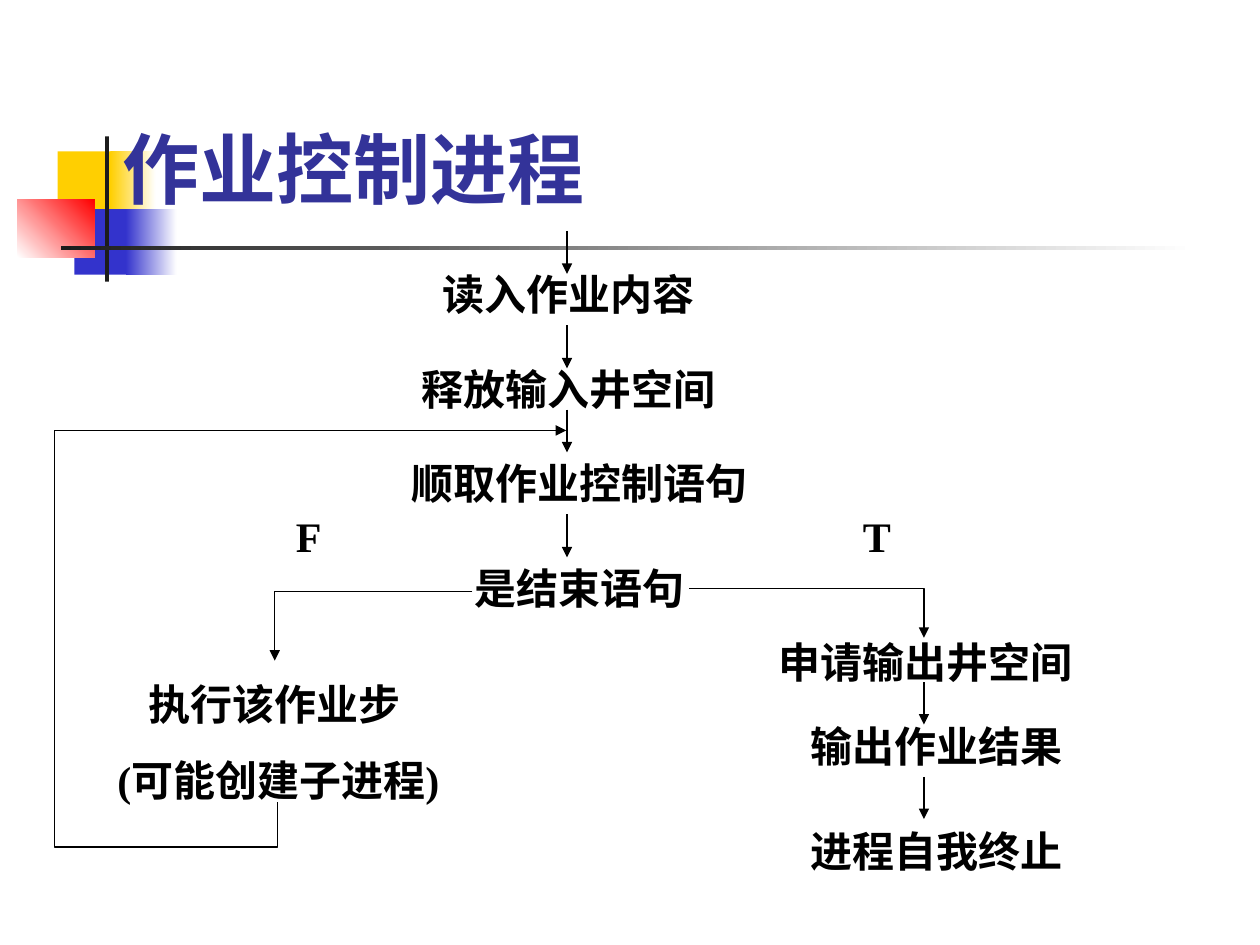
from lxml import etree
from pptx import Presentation
from pptx.dml.color import RGBColor
from pptx.enum.shapes import MSO_CONNECTOR, MSO_SHAPE
from pptx.enum.text import MSO_ANCHOR, MSO_AUTO_SIZE, PP_ALIGN
from pptx.oxml.ns import qn
from pptx.util import Pt

STRAIGHT = MSO_CONNECTOR.STRAIGHT
RECTANGLE = MSO_SHAPE.RECTANGLE
BOTTOM = MSO_ANCHOR.BOTTOM
LEFT = PP_ALIGN.LEFT
NO_FIT = MSO_AUTO_SIZE.NONE
FIT_SHAPE = MSO_AUTO_SIZE.SHAPE_TO_FIT_TEXT

COLORS = {
    "yellow": "FFCF01",
    "blue": "3333CC",
    "red": "FF0000",
    "dark": "1C1C1C",
    "white": "FFFFFF",
    "title": "333399",
    "black": "000000",
}
TITLE_FONT = "Lato"
BODY_FONT = "Times New Roman"
STEP_HEIGHT = 36


def color(name):
    return RGBColor.from_string(COLORS[name])


def style_font(para, name, size, color_name):
    para.font.name = name
    para.font.size = Pt(size)
    para.font.bold = True
    para.font.color.rgb = color(color_name)


def add_block(page, box, start, end=None, angle=0):
    block = page.shapes.add_shape(RECTANGLE, *map(Pt, box))
    block.shadow.inherit = False
    block.line.fill.background()
    if end is None:
        block.fill.solid()
        block.fill.fore_color.rgb = color(start)
        return
    block.fill.gradient()
    block.fill.gradient_angle = angle
    for stop, name in zip(block.fill.gradient_stops, (start, end)):
        stop.color.rgb = color(name)


def style_arrow(shape):
    shape.line.color.rgb = color("black")
    shape.line.width = Pt(0.75)
    line = shape.line._get_or_add_ln()
    etree.SubElement(line, qn("a:tailEnd"), type="triangle")


def add_down_arrow(page, x, top, bottom):
    arrow = page.shapes.add_connector(STRAIGHT, Pt(x), Pt(top), Pt(x), Pt(bottom))
    style_arrow(arrow)
    etree.SubElement(arrow._element.spPr, qn("a:effectLst"))


def add_bent_arrow(page, points):
    start, *corners = [(Pt(x), Pt(y)) for x, y in points]
    builder = page.shapes.build_freeform(*start)
    builder.add_line_segments(corners, close=False)
    arrow = builder.convert_to_shape()
    arrow.shadow.inherit = False
    arrow.fill.background()
    style_arrow(arrow)


def add_step(page, left, top, width, lines, height=STEP_HEIGHT):
    box = page.shapes.add_textbox(Pt(left), Pt(top), Pt(width), Pt(height))
    frame = box.text_frame
    frame.word_wrap = True
    frame.auto_size = FIT_SHAPE
    frame.text = "\n".join(lines)
    for index, para in enumerate(frame.paragraphs):
        style_font(para, BODY_FONT, 24, "black")
        if index:
            para.space_before = Pt(15)
    return frame


def add_decoration(page, left, top):
    blocks = [
        (23, 8.5, 34.5, 37.5, "yellow"),
        (53, 8.5, 26, 37.5, "yellow", "white"),
        (32.5, 41.5, 33, 37.5, "blue"),
        (62, 41.5, 29, 37.5, "blue", "white"),
        (0, 36, 44, 33, "white", "red", 45),
        (50, 0, 2.25, 83, "dark"),
        (25, 62.5, 648, 2.5, "dark", "white"),
    ]
    for x, y, width, height, *paint in blocks:
        add_block(page, (left + x, top + y, width, height), *paint)


def add_title(page, left, top, width, height):
    title = page.shapes.title
    title.left, title.top, title.width, title.height = map(Pt, (left, top, width, height))
    frame = title.text_frame
    frame.text = "作业控制进程"
    frame.vertical_anchor = BOTTOM
    frame.auto_size = NO_FIT
    para = frame.paragraphs[0]
    para.alignment = LEFT
    style_font(para, TITLE_FONT, 44, "title")
    title.element.getparent().append(title.element)


def add_main_flow(page, left, top):
    steps = [
        (18, 18, 162, "读入作业内容"),
        (6, 72, 186, "释放输入井空间"),
        (0, 126, 216, "顺取作业控制语句"),
        (36, 186, 144, "是结束语句"),
    ]
    for x, y, width, text in steps:
        add_step(page, left + x, top + y, width, [text])
    for y in (0, 54, 102, 162):
        add_down_arrow(page, left + 96, top + y, top + y + 24.5)


def add_false_branch(page, left, top):
    add_step(page, left + 131, top + 42, 42, ["F"])
    frame = add_step(page, left + 29, top + 138, 210, ["执行该作业步", "(可能创建子进程)"], 80)
    properties = frame.paragraphs[0]._p.get_or_add_pPr()
    properties.set("marL", str(Pt(18)))
    properties.set("indent", "0")
    entry = [(239, 92), (126, 92), (126, 131.5)]
    loop = [(127.5, 212.5), (127.5, 238), (0, 238), (0, 0), (292.5, 0)]
    for points in (entry, loop):
        add_bent_arrow(page, [(left + x, top + y) for x, y in points])


def add_true_branch(page, left, top):
    steps = [
        (92, 0, 42, "T"),
        (44, 72, 186, "申请输出井空间"),
        (62, 120, 162, "输出作业结果"),
        (62, 180, 162, "进程自我终止"),
    ]
    for x, y, width, text in steps:
        add_step(page, left + x, top + y, width, [text])
    entry = [(0, 48.5), (134, 48.5), (134, 76.5)]
    add_bent_arrow(page, [(left + x, top + y) for x, y in entry])
    for y in (102, 156):
        add_down_arrow(page, left + 134, top + y, top + y + 24)


def main():
    deck = Presentation()
    deck.slide_width, deck.slide_height = Pt(720), Pt(540)
    page = deck.slides.add_slide(deck.slide_layouts[5])
    add_decoration(page, 10, 78)
    add_title(page, 63, 36, 612, 90)
    add_main_flow(page, 228, 132)
    add_false_branch(page, 31, 246)
    add_true_branch(page, 394, 288)
    deck.save("out.pptx")


if __name__ == "__main__":
    main()
